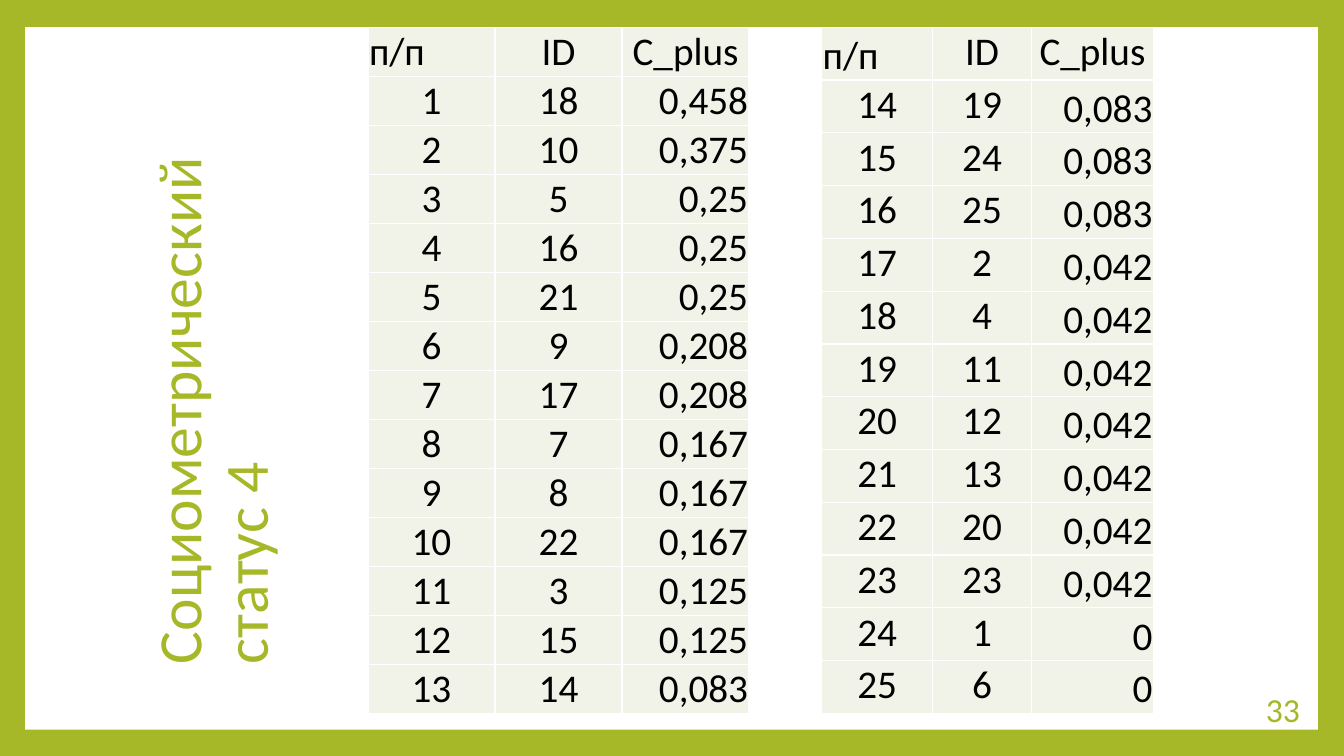
from lxml.etree import SubElement
from pptx import Presentation
from pptx.dml.color import RGBColor
from pptx.enum.shapes import MSO_SHAPE
from pptx.enum.text import MSO_ANCHOR, PP_ALIGN
from pptx.oxml.ns import qn
from pptx.util import Inches, Pt

TITLE = "Социометрический\vстатус 4"
PAGE_NUMBER = "33"
HEADER = ("п/п", "ID", "C_plus")
RANKING = [
    (18, "0,458"), (10, "0,375"), (5, "0,25"), (16, "0,25"), (21, "0,25"),
    (9, "0,208"), (17, "0,208"), (7, "0,167"), (8, "0,167"), (22, "0,167"),
    (3, "0,125"), (15, "0,125"), (14, "0,083"), (19, "0,083"), (24, "0,083"),
    (25, "0,083"), (2, "0,042"), (4, "0,042"), (11, "0,042"), (12, "0,042"),
    (13, "0,042"), (20, "0,042"), (23, "0,042"), (1, "0"), (6, "0"),
]
FIRST_HALF = 13
COLORS = {"accent": "A6B727", "panel": "FFFFFF", "cell": "F1F3E8", "text": "000000"}
FONT = "Calibri"
TABLE_TOP, TABLE_HEIGHT = 0.27, 6.81
TITLE_LEFT, TITLE_TOP, TITLE_WIDTH, TITLE_HEIGHT = 0.88, 0.52, 2.5, 6.17


def color(name):
    return RGBColor.from_string(COLORS[name])


def style(paragraph, size, color_name, alignment):
    paragraph.alignment = alignment
    for run in paragraph.runs:
        run.font.name = FONT
        run.font.size = Pt(size)
        run.font.color.rgb = color(color_name)


def add_borders(cell):
    properties = cell._tc.get_or_add_tcPr()
    for position, side in enumerate(("lnL", "lnR", "lnT", "lnB")):
        border = SubElement(properties, qn(f"a:{side}"), w=str(Pt(1)))
        fill = SubElement(border, qn("a:solidFill"))
        SubElement(fill, qn("a:srgbClr"), val=COLORS["panel"])
        properties.insert(position, border)


def cell_layout(row, column):
    if row == 0 and column == 0:
        return PP_ALIGN.LEFT, MSO_ANCHOR.BOTTOM
    if row > 0 and column == 2:
        return PP_ALIGN.RIGHT, MSO_ANCHOR.BOTTOM
    return PP_ALIGN.CENTER, MSO_ANCHOR.TOP


def add_ranking(slide, left, widths, first_place, entries):
    rows = [HEADER] + [(place, *entry) for place, entry in enumerate(entries, first_place)]
    table = slide.shapes.add_table(
        len(rows), len(HEADER), Inches(left), Inches(TABLE_TOP),
        Inches(sum(widths)), Inches(TABLE_HEIGHT)).table
    for column, width in zip(table.columns, widths):
        column.width = Inches(width)
    for r, values in enumerate(rows):
        table.rows[r].height = Inches(TABLE_HEIGHT / len(rows))
        for c, value in enumerate(values):
            cell = table.cell(r, c)
            cell.text_frame.text = str(value)
            alignment, cell.vertical_anchor = cell_layout(r, c)
            cell.margin_left = cell.margin_right = cell.margin_top = Inches(0.01)
            cell.margin_bottom = 0
            cell.fill.solid()
            cell.fill.fore_color.rgb = color("cell")
            add_borders(cell)
            paragraph = cell.text_frame.paragraphs[0]
            style(paragraph, 28, "text", alignment)
            paragraph.runs[0].font.bold = False


def place_title(title):
    title.width, title.height = Inches(TITLE_HEIGHT), Inches(TITLE_WIDTH)
    title.left = Inches(TITLE_LEFT + (TITLE_WIDTH - TITLE_HEIGHT) / 2)
    title.top = Inches(TITLE_TOP + (TITLE_HEIGHT - TITLE_WIDTH) / 2)
    title.rotation = 270
    title.text_frame.text = TITLE
    title.text_frame.word_wrap = True
    title.text_frame.vertical_anchor = MSO_ANCHOR.MIDDLE
    heading = title.text_frame.paragraphs[0]
    heading.line_spacing = 0.9
    style(heading, 44, "accent", PP_ALIGN.LEFT)


def main():
    presentation = Presentation()
    presentation.slide_width, presentation.slide_height = Inches(13.33), Inches(7.5)
    slide = presentation.slides.add_slide(presentation.slide_layouts[5])
    slide.background.fill.solid()
    slide.background.fill.fore_color.rgb = color("accent")

    panel = slide.shapes.add_shape(
        MSO_SHAPE.RECTANGLE, Inches(0.25), Inches(0.27), Inches(12.82), Inches(6.97))
    panel.shadow.inherit = False
    panel.fill.solid()
    panel.fill.fore_color.rgb = color("panel")
    panel.line.fill.background()

    title = slide.shapes.title
    title._element.addprevious(panel._element)
    place_title(title)

    number = slide.shapes.add_textbox(Inches(11.12), Inches(6.83), Inches(1.87), Inches(0.4))
    number.text_frame.text = PAGE_NUMBER
    number.text_frame.word_wrap = True
    number.text_frame.vertical_anchor = MSO_ANCHOR.MIDDLE
    style(number.text_frame.paragraphs[0], 24, "accent", PP_ALIGN.RIGHT)

    add_ranking(slide, 3.65, (1.26, 1.26, 1.26), 1, RANKING[:FIRST_HALF])
    add_ranking(slide, 8.15, (1.1, 0.98, 1.21), FIRST_HALF + 1, RANKING[FIRST_HALF:])

    presentation.save("out.pptx")


if __name__ == "__main__":
    main()
